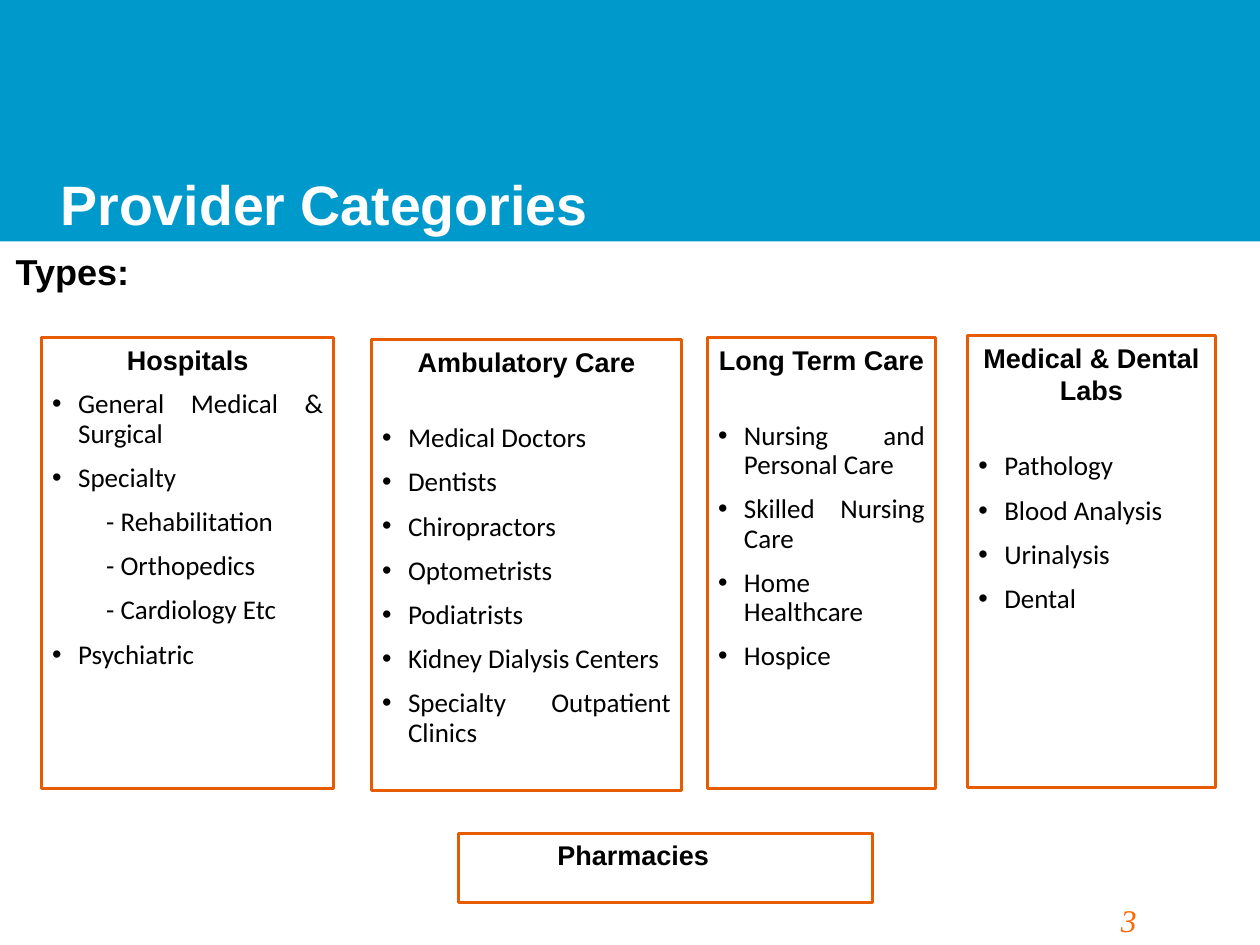
from dataclasses import dataclass

from lxml.etree import SubElement
from pptx import Presentation
from pptx.dml.color import RGBColor
from pptx.enum.shapes import MSO_SHAPE as Preset
from pptx.enum.text import MSO_ANCHOR as Anchor, PP_ALIGN as Align
from pptx.oxml.ns import qn
from pptx.util import Inches, Pt

TITLE = "Provider Categories"
SUBTITLE = "Types:"
PAGE_NUMBER = "3"
CARDS = [
    ("Hospitals", (3.3, 35.75, 23.2, 47.66), 0,
     ["General Medical & Surgical", "Specialty", "- Rehabilitation",
      "- Orthopedics", "- Cardiology Etc", "Psychiatric"]),
    ("Ambulatory Care", (29.48, 35.98, 24.61, 47.66), 21,
     ["Medical Doctors", "Dentists", "Chiropractors", "Optometrists",
      "Podiatrists", "Kidney Dialysis Centers", "Specialty Outpatient Clinics"]),
    ("Long Term Care", (56.14, 35.75, 18.1, 47.66), 21,
     ["Nursing and Personal Care", "Skilled Nursing Care",
      "Home Healthcare", "Hospice"]),
    ("Medical & Dental Labs", (76.8, 35.54, 19.64, 47.77), 21,
     ["Pathology", "Blood Analysis", "Urinalysis", "Dental"]),
]
PHARMACIES = ("Pharmacies", (36.41, 88.2, 32.85, 7.31))

BAND_AREA = (0, 0, 100, 25.55)
TITLE_AREA = (0.17, 9.03, 68.95, 16.69)
SUBTITLE_AREA = (0.22, 25.71, 98.37, 70.97)
NUMBER_AREA = (88.12, 94.8, 11.15, 5.14)

CARD_INSETS = (0.1, 0.05, 0.1, 0.05)
WIDE_INSETS = (0.12, 0.06, 0.12, 0.06)
SHIFTED_INSETS = (0.1, 0.05, 0.7, 0.05)
BULLET_INDENT, SUB_INDENT, TITLE_INDENT = 0.24, 0.5, 0.42


@dataclass(frozen=True)
class Theme:
    band: str = "0099CC"
    border: str = "E75C00"
    number: str = "FF6600"
    ink: str = "000000"
    paper: str = "FFFFFF"
    heading_font: str = "Arial"
    body_font: str = "Calibri"
    number_font: str = "Times New Roman"
    title_size: int = 37
    subtitle_size: int = 24
    number_size: int = 21
    body_size: int = 18


THEME = Theme()
presentation = Presentation()
presentation.slide_width = Inches(11.66)
presentation.slide_height = presentation.slide_width * 3 // 4
slide = presentation.slides.add_slide(presentation.slide_layouts[6])


def place(area):
    width, height = presentation.slide_width, presentation.slide_height
    return [int(share * side / 100) for share, side in zip(area, (width, height) * 2)]


def prepare(frame, insets, anchor=Anchor.TOP):
    frame.word_wrap = True
    frame.vertical_anchor = anchor
    (frame.margin_left, frame.margin_top,
     frame.margin_right, frame.margin_bottom) = map(Inches, insets)
    return frame


def add_box(area, fill, border=None):
    shape = slide.shapes.add_shape(Preset.RECTANGLE, *place(area))
    shape.shadow.inherit = False
    shape.fill.solid()
    shape.fill.fore_color.rgb = RGBColor.from_string(fill)
    if border:
        shape.line.color.rgb = RGBColor.from_string(border)
        shape.line.width = Pt(2)
    else:
        shape.line.fill.background()
    return shape


def write(frame, text, *, size=THEME.body_size, font=THEME.heading_font,
          color=THEME.ink, bold=True, italic=False, align=Align.LEFT, before=0,
          after=0, spacing=1.0, indent=0, bullet=False):
    paragraph = frame.paragraphs[0] if not frame.text else frame.add_paragraph()
    properties = paragraph._p.get_or_add_pPr()
    properties.set("marL", str(Inches(indent)))
    if bullet:
        properties.set("indent", str(-Inches(indent)))
        SubElement(properties, qn("a:buFont"), typeface=THEME.heading_font)
        SubElement(properties, qn("a:buChar"), char="•")
    paragraph.alignment = align
    paragraph.line_spacing = spacing
    paragraph.space_before, paragraph.space_after = Pt(before), Pt(after)
    run = paragraph.add_run()
    run.text = text
    run.font.size, run.font.name = Pt(size), font
    run.font.bold, run.font.italic = bold, italic
    run.font.color.rgb = RGBColor.from_string(color)


def add_text(area, text, insets, anchor=Anchor.TOP, **text_format):
    textbox = slide.shapes.add_textbox(*place(area))
    write(prepare(textbox.text_frame, insets, anchor), text, **text_format)


def add_card(heading, area, gap=0, items=(), insets=CARD_INSETS):
    frame = prepare(add_box(area, THEME.paper, THEME.border).text_frame, insets)
    write(frame, heading, align=Align.CENTER, after=gap)
    for item in items:
        nested = item.startswith("-")
        write(frame, item, font=THEME.body_font, bold=False, align=Align.JUSTIFY,
              before=10, spacing=0.9, bullet=not nested,
              indent=SUB_INDENT if nested else BULLET_INDENT)


def main():
    """Build the provider categories slide."""
    add_box(BAND_AREA, THEME.band)
    add_text(NUMBER_AREA, PAGE_NUMBER, CARD_INSETS, size=THEME.number_size,
             font=THEME.number_font, color=THEME.number, bold=False, italic=True)
    add_text(TITLE_AREA, TITLE, WIDE_INSETS, Anchor.BOTTOM, size=THEME.title_size,
             color=THEME.paper, indent=TITLE_INDENT)
    add_text(SUBTITLE_AREA, SUBTITLE, WIDE_INSETS, size=THEME.subtitle_size)
    for card in CARDS:
        add_card(*card)
    add_card(*PHARMACIES, insets=SHIFTED_INSETS)
    presentation.save("out.pptx")


if __name__ == "__main__":
    main()
